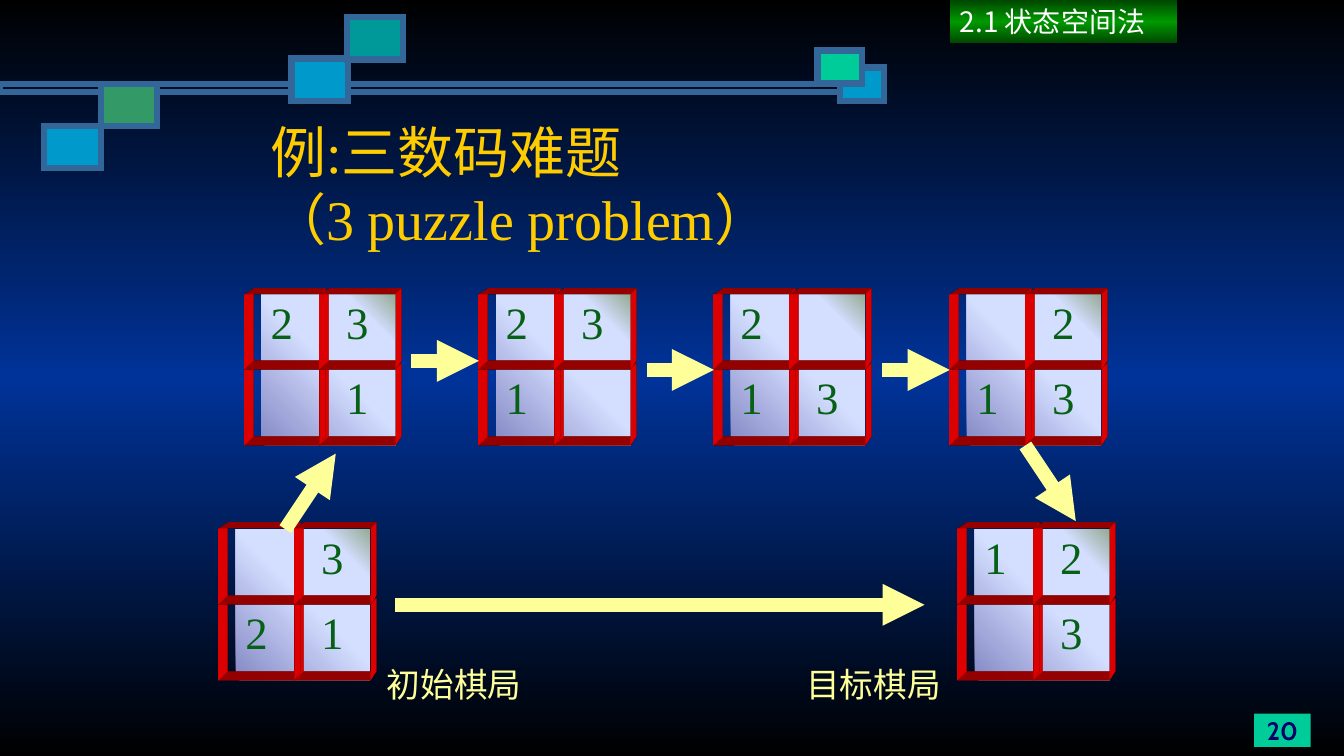
from lxml.etree import SubElement
from pptx import Presentation
from pptx.dml.color import RGBColor
from pptx.enum.shapes import MSO_CONNECTOR, MSO_SHAPE
from pptx.enum.text import MSO_ANCHOR, PP_ALIGN
from pptx.oxml.ns import qn
from pptx.util import Inches, Pt

COLORS = {
    "black": "000000", "navy": "003399", "steel": "336699", "blue": "0099CC",
    "mint": "00CC99", "green": "339966", "teal": "009999", "gold": "FFCC00",
    "cream": "FFFF99", "white": "FFFFFF", "ink": "000066", "digit": "066015",
    "red": "FF0000", "forest": "004700", "leaf": "009900",
    "violet": "8488C4", "ice": "D4DEFF", "sage": "96AB94",
}
BACKDROP = [(0, "black"), (50, "navy"), (100, "black")]
BANNER = [(0, "forest"), (50, "leaf"), (100, "forest")]
BOARD_FACE = [(0, "violet"), (53, "ice"), (83, "ice"), (100, "sage")]

TILE = 0.75
TILE_ORDER = [(1, 1), (1, 0), (0, 0), (0, 1)]  # row, column, back to front

# left, top, digits by row
BOARDS = [
    (2.17, 5.25, [" 3", "21"]),
    (2.42, 2.92, ["23", " 1"]),
    (4.75, 2.92, ["23", "1 "]),
    (7.08, 2.92, ["2 ", "13"]),
    (9.42, 2.92, [" 2", "13"]),
    (9.5, 5.25, ["12", " 3"]),
]
ARROWS = [
    (3.92, 6, 9.17, 6),
    (2.83, 5.25, 3.33, 4.5),
    (10.17, 4.42, 10.67, 5.17),
    (4.08, 3.58, 4.75, 3.58),
    (8.75, 3.67, 9.42, 3.67),
    (6.42, 3.67, 7.08, 3.67),
]
ORNAMENTS = [
    (0, 0.83, 8.56, 0.08, None),
    (8.33, 0.67, 0.44, 0.33, "blue"),
    (8.11, 0.5, 0.44, 0.33, "mint"),
    (2.89, 0.58, 0.56, 0.42, "blue"),
    (0.44, 1.25, 0.56, 0.42, "blue"),
    (1, 0.83, 0.56, 0.42, "green"),
    (3.44, 0.17, 0.56, 0.42, "teal"),
]


def rgb(name):
    return RGBColor.from_string(COLORS[name])


def set_gradient(fill, element, stops, angle):
    """Fill with the given stops; angle is clockwise, in degrees."""
    fill.gradient()
    grad = element.find(".//" + qn("a:gradFill"))
    stop_list = grad.find(qn("a:gsLst"))
    for old in list(stop_list):
        stop_list.remove(old)
    for position, name in stops:
        stop = SubElement(stop_list, qn("a:gs"), pos=str(position * 1000))
        SubElement(stop, qn("a:srgbClr"), val=COLORS[name])
    grad.find(qn("a:lin")).set("ang", str(angle * 60000))


def add_rect(shapes, x, y, w, h, fill=None, line=None, width=4.5):
    s = shapes.add_shape(MSO_SHAPE.RECTANGLE, Inches(x), Inches(y), Inches(w), Inches(h))
    s.shadow.inherit = False
    if fill:
        s.fill.solid()
        s.fill.fore_color.rgb = rgb(fill)
    else:
        s.fill.background()
    if line:
        s.line.color.rgb = rgb(line)
        s.line.width = Pt(width)
        SubElement(s.line._get_or_add_ln(), qn("a:miter"), lim="800000")
    else:
        s.line.fill.background()
    return s


def write(s, text, size, font, color, align=PP_ALIGN.LEFT,
          anchor=MSO_ANCHOR.MIDDLE, wrap=True, bold=False):
    tf = s.text_frame
    tf.text = text
    tf.word_wrap = wrap
    tf.vertical_anchor = anchor
    p = tf.paragraphs[0]
    p.alignment = align
    for r in p.runs:
        r.font.size = Pt(size)
        r.font.name = font
        r.font.bold = bold
        r.font.color.rgb = rgb(color)
        SubElement(r._r.get_or_add_rPr(), qn("a:ea"), typeface="Noto Sans CJK SC")
    return tf


def add_text(shapes, x, y, w, h, *args, **kwargs):
    s = shapes.add_textbox(Inches(x), Inches(y), Inches(w), Inches(h))
    return write(s, *args, **kwargs)


def extrude(s, color):
    """Give the shape solid sides, seen in perspective towards the top right."""
    props = s._element.spPr
    scene = SubElement(props, qn("a:scene3d"))
    SubElement(scene, qn("a:camera"), prst="legacyPerspectiveTopRight")
    SubElement(scene, qn("a:lightRig"), rig="legacyFlat3", dir="b")
    solid = SubElement(props, qn("a:sp3d"), extrusionH="430200", prstMaterial="legacyMatte")
    for bevel in ("a:bevelT", "a:bevelB"):
        SubElement(solid, qn(bevel), w="13500", h="13500", prst="angle")
    tint = SubElement(solid, qn("a:extrusionClr"))
    SubElement(tint, qn("a:srgbClr"), val=COLORS[color])


def add_tile(shapes, x, y, digit):
    s = add_rect(shapes, x, y, TILE, TILE, line="red", width=0.5)
    extrude(s, "red")
    if digit != " ":
        tf = write(s, digit, 32, "Times New Roman", "digit", PP_ALIGN.CENTER, MSO_ANCHOR.TOP)
        tf.margin_left = tf.margin_right = tf.margin_top = tf.margin_bottom = 0


def add_board(slide, x, y, rows):
    shapes = slide.shapes.add_group_shape().shapes
    face = add_rect(shapes, x + 0.17, y, 1.33, 2 * TILE)
    set_gradient(face.fill, face._element, BOARD_FACE, 315)
    for row, col in TILE_ORDER:
        add_tile(shapes, x + col * TILE, y + row * TILE, rows[row][col])


def add_arrow(slide, x1, y1, x2, y2):
    s = slide.shapes.add_connector(
        MSO_CONNECTOR.STRAIGHT, Inches(x1), Inches(y1), Inches(x2), Inches(y2))
    s.line.color.rgb = rgb("cream")
    s.line.width = Pt(10)
    SubElement(s.line._get_or_add_ln(), qn("a:tailEnd"), type="triangle")
    SubElement(s._element.spPr, qn("a:effectLst"))


def main():
    prs = Presentation()
    prs.slide_width, prs.slide_height = Inches(13.33), Inches(7.5)
    slide = prs.slides.add_slide(prs.slide_layouts[6])
    set_gradient(slide.background.fill, slide._element, BACKDROP, 90)

    for x, y, w, h, fill in ORNAMENTS:
        add_rect(slide.shapes, x, y, w, h, fill, "steel")
    number = add_rect(slide.shapes, 12.44, 7.08, 0.56, 0.33, "mint")
    write(number, "20", 18, "Cabin", "ink", PP_ALIGN.CENTER, wrap=False, bold=True)
    add_text(slide.shapes, 2.58, 1.33, 5.75, 1, "例:三数码难题\v（3 puzzle problem）",
             40, "Times New Roman", "gold")

    for board in BOARDS:
        add_board(slide, *board)
    for arrow in ARROWS:
        add_arrow(slide, *arrow)
    for x, label in [(3.67, "初始棋局"), (7.83, "目标棋局")]:
        add_text(slide.shapes, x, 6.58, 1.67, 0.42, label, 24, "Arial", "cream",
                 PP_ALIGN.CENTER, wrap=False)

    banner = add_rect(slide.shapes, 9.42, 0, 2.25, 0.43)
    set_gradient(banner.fill, banner._element, BANNER, 90)
    write(banner, "2.1 状态空间法", 20, "Noto Sans CJK SC", "white", anchor=MSO_ANCHOR.TOP)
    prs.save("out.pptx")


if __name__ == "__main__":
    main()
